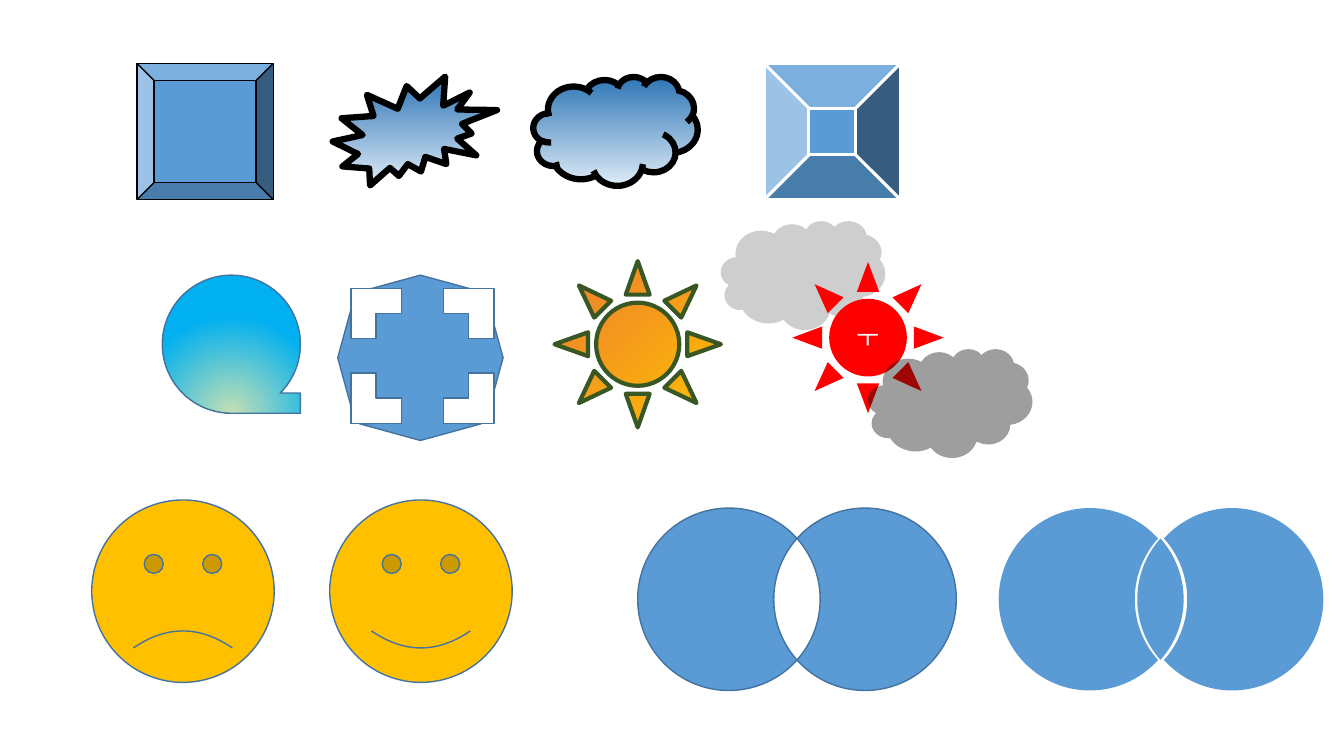
import math
from dataclasses import dataclass
from typing import Optional

from pptx import Presentation
from pptx.dml.color import RGBColor
from pptx.enum.shapes import MSO_SHAPE
from pptx.enum.text import MSO_ANCHOR, PP_ALIGN
from pptx.oxml import parse_xml
from pptx.oxml.ns import nsdecls, qn
from pptx.util import Inches, Pt

BEVEL, CLOUD, SUN = MSO_SHAPE.BEVEL, MSO_SHAPE.CLOUD, MSO_SHAPE.SUN
BURST, SMILEY = MSO_SHAPE.EXPLOSION2, MSO_SHAPE.SMILEY_FACE
TAPE = MSO_SHAPE.FLOWCHART_SEQUENTIAL_ACCESS_STORAGE
QUAD, CORNER = MSO_SHAPE.QUAD_ARROW, MSO_SHAPE.CORNER

BLUE, OUTLINE, WHITE, BLACK = "5B9BD5", "43739E", "FFFFFF", "000000"
YELLOW, SHADE, RED = "FFC000", "0D0D0D", "FF0000"
FONT = "Noto Sans CJK KR"

RADIUS, SPACING, MIDDLE = 0.905, 1.35, 5.945
CUT = math.degrees(math.acos(SPACING / 2 / RADIUS))

Point = tuple[int, int]
Curve = tuple[Point, Point, Point, Point]


@dataclass
class Gradient:
    start: str
    end: str
    angle: Optional[float] = None  # None: circular, centred below the shape


@dataclass
class Item:
    kind: MSO_SHAPE
    left: float
    top: float
    width: float
    height: float
    fill: str | Gradient
    line: Optional[str] = None
    weight: float = 1
    adj: tuple[float, ...] = ()
    opacity: int = 100
    rotation: float = 0
    flip: bool = False
    text: str = ""


SKY = Gradient("2E75B6", "DEEBF7", 90)
CLOUD_SIZE = (1.63, 1.08)

ITEMS = [
    Item(CLOUD, 7.15, 2.19, *CLOUD_SIZE, SHADE, opacity=20),
    Item(BEVEL, 1.36, 0.63, 1.35, 1.35, BLUE, BLACK),
    Item(BURST, 3.3, 0.76, *CLOUD_SIZE, SKY, BLACK, 4.5),
    Item(CLOUD, 5.29, 0.76, *CLOUD_SIZE, SKY, BLACK, 4.5),
    Item(BEVEL, 7.58, 0.63, 1.35, 1.35, BLUE, WHITE, 2.25, (0.328,)),
    Item(TAPE, 1.61, 2.73, 1.37, 1.37, Gradient("C5E0B4", "00B0F0"), OUTLINE),
    Item(SUN, 5.5, 2.59, 1.65, 1.65, Gradient("ED7D31", YELLOW, 45), "385723", 3),
    Item(SUN, 7.86, 2.6, 1.5, 1.5, RED, adj=(0.243,), text="ㅜ"),
    Item(CLOUD, 8.61, 3.46, *CLOUD_SIZE, SHADE, opacity=40),
    Item(SMILEY, 3.27, 4.96, 1.81, 1.81, YELLOW, OUTLINE),
    Item(SMILEY, 0.91, 4.96, 1.81, 1.81, YELLOW, OUTLINE, adj=(-0.047,)),
]
BRACKETED_ARROW = [
    Item(QUAD, 3.35, 2.73, 1.64, 1.64, BLUE, OUTLINE, adj=(0.574, 0.368, 0.101)),
] + [
    Item(CORNER, left, top, 0.5, 0.5, WHITE, OUTLINE, rotation=rotation, flip=flip)
    for left, top, rotation, flip in (
        (3.48, 3.7, 0, False), (3.48, 2.86, 90, False),
        (4.4, 3.7, 0, True), (4.4, 2.86, 270, True),
    )
]


def rgb(color: str) -> RGBColor:
    return RGBColor.from_string(color)


def paint(sp, fill: str | Gradient, line: Optional[str], weight: float = 1) -> None:
    sp.shadow.inherit = False
    if isinstance(fill, Gradient):
        paint_gradient(sp, fill)
    else:
        sp.fill.solid()
        sp.fill.fore_color.rgb = rgb(fill)
    if line:
        sp.line.color.rgb = rgb(line)
        sp.line.width = Pt(weight)
    else:
        sp.line.fill.background()


def paint_gradient(sp, gradient: Gradient) -> None:
    sp.fill.gradient()
    for stop, color, position in zip(
        sp.fill.gradient_stops, (gradient.start, gradient.end), (0, 1)
    ):
        stop.color.rgb = rgb(color)
        stop.position = position
    if gradient.angle is not None:
        sp.fill.gradient_angle = 360 - gradient.angle
        return
    lin = sp._element.spPr.find(".//" + qn("a:lin"))
    lin.getparent().replace(lin, parse_xml(
        f'<a:path {nsdecls("a")} path="circle">'
        '<a:fillToRect l="50000" t="130000" r="50000" b="-30000"/></a:path>'
    ))


def write(sp, text: str) -> None:
    tf = sp.text_frame
    tf.word_wrap = True
    tf.vertical_anchor = MSO_ANCHOR.MIDDLE
    p = tf.paragraphs[0]
    p.alignment = PP_ALIGN.CENTER
    r = p.add_run()
    r.text = text
    r.font.size = Pt(18)
    r.font.color.rgb = rgb(WHITE)
    r.font.name = FONT
    r.font._element.append(parse_xml(f'<a:ea {nsdecls("a")} typeface="{FONT}"/>'))


def draw_item(shapes, item: Item) -> None:
    box = (Inches(v) for v in (item.left, item.top, item.width, item.height))
    sp = shapes.add_shape(item.kind, *box)
    for i, value in enumerate(item.adj):
        sp.adjustments[i] = value
    paint(sp, item.fill, item.line, item.weight)
    sp.rotation = item.rotation
    if item.flip:
        sp._element.spPr.xfrm.set("flipH", "1")
    if item.opacity < 100:
        color = sp._element.spPr.find(".//" + qn("a:srgbClr"))
        color.append(parse_xml(
            f'<a:alpha {nsdecls("a")} val="{item.opacity * 1000}"/>'
        ))
    if item.text:
        write(sp, item.text)


def arc(center: float, *stops: float) -> list[Curve]:
    """Join the angles in stops with Bezier curves along one circle."""
    curves = []
    for start, end in zip(stops, stops[1:]):
        a, b = math.radians(start), math.radians(end)
        k = 4 / 3 * math.tan((b - a) / 4)
        units = (
            (math.cos(a), math.sin(a)),
            (math.cos(a) - k * math.sin(a), math.sin(a) + k * math.cos(a)),
            (math.cos(b) + k * math.sin(b), math.sin(b) - k * math.cos(b)),
            (math.cos(b), math.sin(b)),
        )
        curves.append(tuple(
            (Inches(center + RADIUS * x), Inches(MIDDLE + RADIUS * y)) for x, y in units
        ))
    return curves


def left_crescent(center: float) -> list[Curve]:
    return (arc(center, CUT, 90, 180, 270, 360 - CUT)
            + arc(center + SPACING, 180 + CUT, 180, 180 - CUT))


def right_crescent(center: float) -> list[Curve]:
    return (arc(center, CUT - 180, -90, 0, 90, 180 - CUT)
            + arc(center - SPACING, CUT, 0, -CUT))


def lens(center: float) -> list[Curve]:
    half = SPACING / 2
    return arc(center - half, -CUT, 0, CUT) + arc(center + half, 180 - CUT, 180, 180 + CUT)


def draw_outline(shapes, *contours: list[Curve], line: Optional[str] = None) -> None:
    builder = shapes.build_freeform(*contours[0][0][0])
    for i, contour in enumerate(contours):
        if i:
            builder.move_to(*contour[0][0])
        builder.add_line_segments([curve[-1] for curve in contour], close=True)
    sp = builder.convert_to_shape()
    segments = sp._element.spPr.findall(".//" + qn("a:lnTo"))
    for segment, curve in zip(segments, sum(contours, [])):
        points = "".join(f'<a:pt x="{x - sp.left}" y="{y - sp.top}"/>' for x, y in curve[1:])
        segment.getparent().replace(segment, parse_xml(
            f'<a:cubicBezTo {nsdecls("a")}>{points}</a:cubicBezTo>'
        ))
    paint(sp, BLUE, line)


def main() -> None:
    prs = Presentation()
    prs.slide_width, prs.slide_height = Inches(13.33), Inches(7.5)
    shapes = prs.slides.add_slide(prs.slide_layouts[6]).shapes
    for item in ITEMS:
        draw_item(shapes, item)
    draw_outline(shapes, right_crescent(8.58), left_crescent(7.23), line=OUTLINE)
    for contour in (lens(11.51), left_crescent(10.81), right_crescent(12.22)):
        draw_outline(shapes, contour)
    for item in BRACKETED_ARROW:
        draw_item(shapes, item)
    prs.save("out.pptx")


if __name__ == "__main__":
    main()
